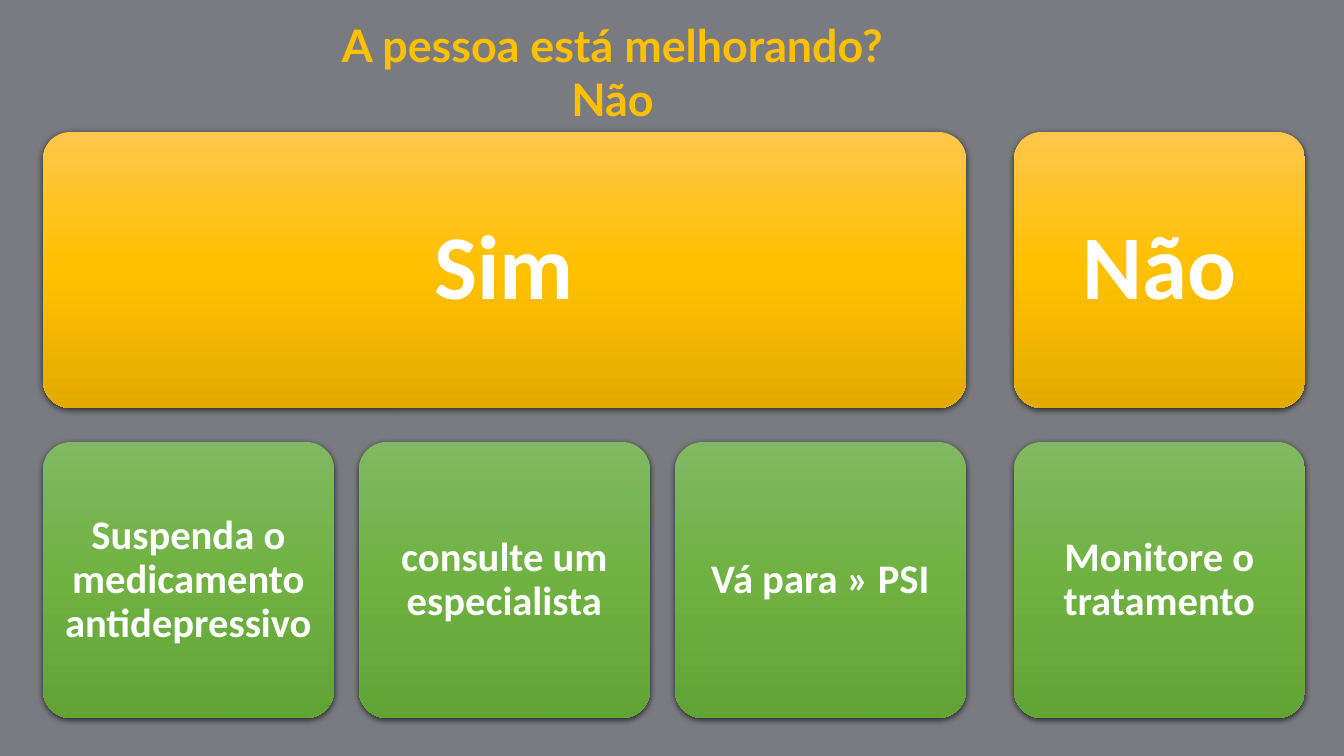
from pptx import Presentation
from pptx import util as u
from pptx.dml.color import RGBColor
from pptx.enum import shapes, text
from pptx.oxml import parse_xml
from pptx.oxml.ns import nsdecls

WIDE, HIGH = 1344, 756
SCALE = u.Inches(13.3333) / WIDE

CARD_W, CARD_H = 291, 276
LEFT, GAP, SPLIT = 43, 25, 48
TOP, LOW = 132, 442

GOLD = ("FFC64B", "FFC000", "E3AB00")
GREEN = ("81B861", "6FB242", "62A336")
GROUPS = [
    ("Sim", ["Suspenda o medicamento antidepressivo",
             "consulte um especialista", "Vá para » PSI"]),
    ("Não", ["Monitore o tratamento"]),
]


def px(n):
    return u.Emu(round(n * SCALE))


def color(code):
    return RGBColor.from_string(code)


def shade(shape, stops):
    """Fill from top to bottom with evenly spaced colours."""
    step = 100000 // (len(stops) - 1)
    marks = "".join(
        f'<a:gs pos="{i * step}"><a:srgbClr val="{code}"/></a:gs>'
        for i, code in enumerate(stops))
    grad = parse_xml(
        f'<a:gradFill {nsdecls("a")} rotWithShape="1"><a:gsLst>{marks}</a:gsLst>'
        '<a:lin ang="5400000" scaled="0"/></a:gradFill>')
    shape._element.spPr.find(
        "{http://schemas.openxmlformats.org/drawingml/2006/main}prstGeom"
    ).addnext(grad)


def shadow(shape):
    shape.shadow.inherit = False
    shape._element.spPr[-1].append(parse_xml(
        f'<a:outerShdw {nsdecls("a")} blurRad="57150" dist="19050" dir="5400000" '
        'algn="ctr" rotWithShape="0"><a:srgbClr val="000000">'
        '<a:alpha val="63000"/></a:srgbClr></a:outerShdw>'))


def write(shape, words, face, size, code):
    shape.text_frame.word_wrap = True
    par = shape.text_frame.paragraphs[0]
    par.text = words
    par.alignment = text.PP_ALIGN.CENTER
    font = par.font
    font.name, font.size, font.bold = face, u.Pt(size), True
    font.color.rgb = color(code)
    return par


def card(slide, words, x, y, w, stops, size, inset):
    box = slide.shapes.add_shape(
        shapes.MSO_SHAPE.ROUNDED_RECTANGLE, px(x), px(y), px(w), px(CARD_H))
    box.adjustments[0] = 0.1
    box.line.fill.background()
    shade(box, stops)
    shadow(box)
    frame = box.text_frame
    frame.margin_left = frame.margin_right = px(inset)
    frame.margin_top = frame.margin_bottom = px(inset)
    frame.vertical_anchor = text.MSO_ANCHOR.MIDDLE
    write(box, words, "Calibri", size, "FFFFFF").line_spacing = 0.9


def title(slide, words):
    box = slide.shapes.add_textbox(px(301), px(13), px(623), px(119))
    write(box, words, "Lato", 32, "FFC000")


def main():
    deck = Presentation()
    deck.slide_width, deck.slide_height = px(WIDE), px(HIGH)
    slide = deck.slides.add_slide(deck.slide_layouts[6])
    back = slide.background.fill
    back.solid()
    back.fore_color.rgb = color("7A7B80")

    title(slide, "A pessoa está melhorando? Não")
    x = LEFT
    for answer, steps in GROUPS:
        span = len(steps) * (CARD_W + GAP) - GAP
        card(slide, answer, x, TOP, span, GOLD, 65, 27)
        for i, step in enumerate(steps):
            card(slide, step, x + i * (CARD_W + GAP), LOW, CARD_W, GREEN, 29, 12)
        x += span + SPLIT
    deck.save("out.pptx")


if __name__ == "__main__":
    main()
